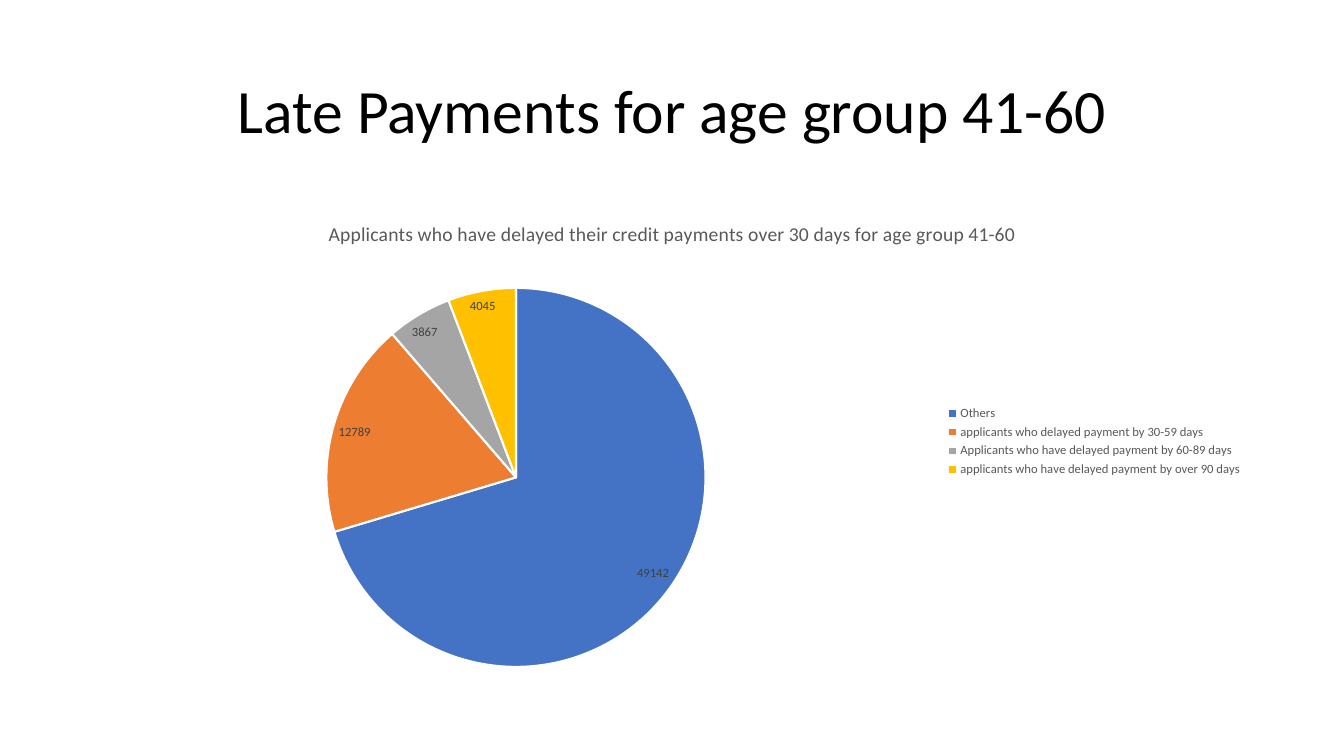
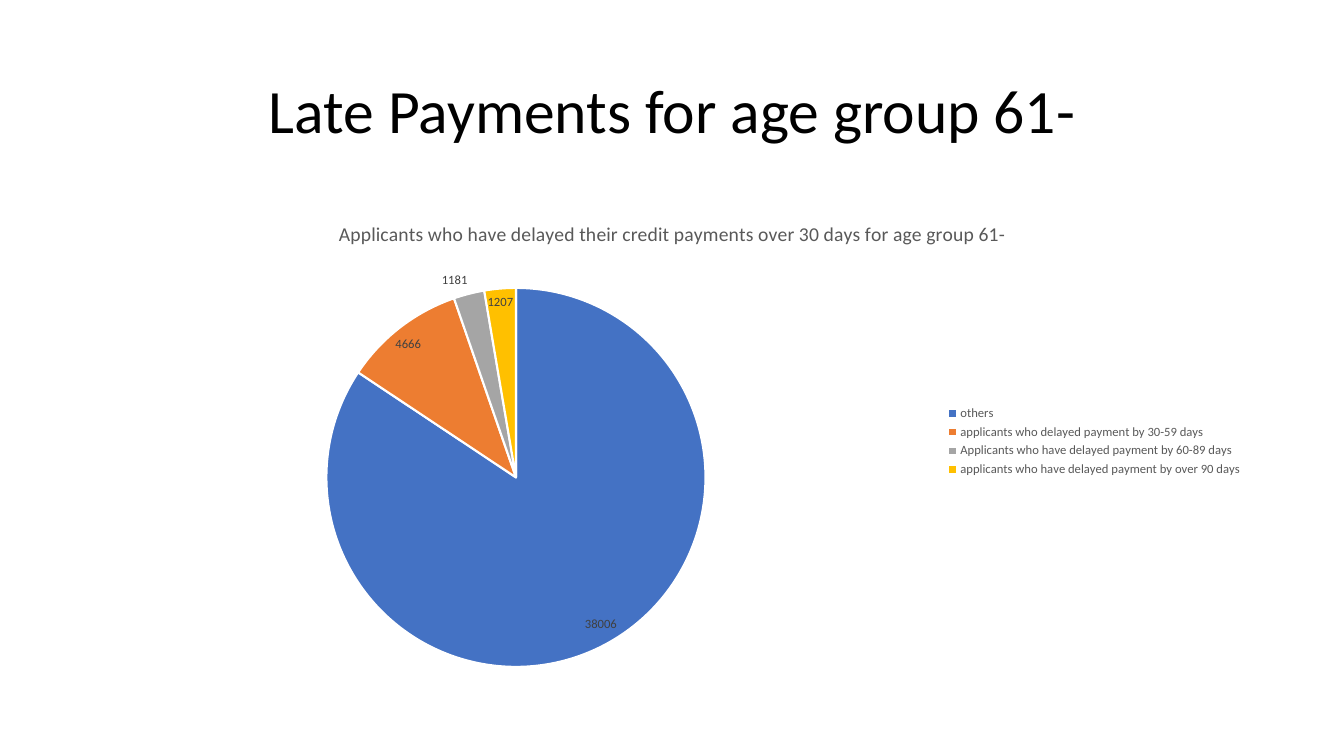
from dataclasses import dataclass

import pptx
import pptx.chart.chart
import pptx.chart.data
import pptx.dml.color
import pptx.enum.chart
import pptx.enum.text
import pptx.presentation
import pptx.slide
import pptx.text.text
import pptx.util
from lxml import etree
from pptx.util import Inches

FONT = "Calibri"
COLOURS = {
    "title": "000000",
    "muted": "595959",
    "label": "404040",
    "border": "FFFFFF",
}
SLICE_COLOURS = {
    "others": "4472C4",
    "30-59 days": "ED7D31",
    "60-89 days": "A5A5A5",
    "over 90 days": "FFC000",
}
DELAY_CATEGORIES = (
    "applicants who delayed payment by 30-59 days",
    "Applicants who have delayed payment by 60-89 days",
    "applicants who have delayed payment by over 90 days",
)
LEFT, WIDTH = Inches(0.92), Inches(11.5)
# Plot area as fractions of the chart frame
PLOT_LAYOUT = {"x": 0.2, "y": 0.18, "w": 0.33, "h": 0.79}


@dataclass(frozen=True)
class AgeGroup:
    ages: str
    others_name: str
    counts: tuple[int, ...]


AGE_GROUPS = (
    AgeGroup("41-60", "Others", (49142, 12789, 3867, 4045)),
    AgeGroup("61-", "others", (38006, 4666, 1181, 1207)),
)


def rgb(colour: str) -> pptx.dml.color.RGBColor:
    return pptx.dml.color.RGBColor.from_string(colour)


def set_font(font: pptx.text.text.Font, size: int, colour: str) -> None:
    font.name = FONT
    font.size = pptx.util.Pt(size)
    font.bold = False
    font.color.rgb = rgb(colour)


def add_title(slide: pptx.slide.Slide, text: str) -> None:
    shape = slide.shapes.add_textbox(LEFT, Inches(0.4), WIDTH, Inches(1.45))
    frame = shape.text_frame
    frame.word_wrap = True
    frame.vertical_anchor = pptx.enum.text.MSO_ANCHOR.MIDDLE
    paragraph = frame.paragraphs[0]
    paragraph.text = text
    paragraph.alignment = pptx.enum.text.PP_ALIGN.CENTER
    paragraph.line_spacing = 0.9
    set_font(paragraph.font, 44, COLOURS["title"])


def place_plot(chart: pptx.chart.chart.Chart) -> None:
    """Fix the inner plot area, which python-pptx cannot position."""
    plot_area = chart.plots[0]._element.getparent()
    namespace = etree.QName(plot_area).namespace
    for layout in plot_area.findall(f"{{{namespace}}}layout"):
        plot_area.remove(layout)
    layout = etree.Element(f"{{{namespace}}}layout")
    manual = etree.SubElement(layout, f"{{{namespace}}}manualLayout")
    settings = {"layoutTarget": "inner", "xMode": "edge", "yMode": "edge", **PLOT_LAYOUT}
    for name, value in settings.items():
        etree.SubElement(manual, f"{{{namespace}}}{name}", val=str(value))
    plot_area.insert(0, layout)


def add_pie(slide: pptx.slide.Slide, group: AgeGroup) -> None:
    data = pptx.chart.data.CategoryChartData()
    data.categories = (group.others_name, *DELAY_CATEGORIES)
    data.add_series("Series 1", group.counts)
    chart = slide.shapes.add_chart(
        pptx.enum.chart.XL_CHART_TYPE.PIE, LEFT, Inches(2), WIDTH, Inches(4.76), data
    ).chart
    set_font(chart.font, 10, COLOURS["title"])

    paragraph = chart.chart_title.text_frame.paragraphs[0]
    paragraph.text = (
        "Applicants who have delayed their credit payments "
        f"over 30 days for age group {group.ages}"
    )
    set_font(paragraph.font, 14, COLOURS["muted"])

    chart.has_legend = True
    chart.legend.position = pptx.enum.chart.XL_LEGEND_POSITION.RIGHT
    chart.legend.include_in_layout = False
    set_font(chart.legend.font, 9, COLOURS["muted"])

    plot = chart.plots[0]
    plot.vary_by_categories = True
    series = plot.series[0]
    for index, colour in enumerate(SLICE_COLOURS.values()):
        slice_format = series.points[index].format
        slice_format.fill.solid()
        slice_format.fill.fore_color.rgb = rgb(colour)
        slice_format.line.color.rgb = rgb(COLOURS["border"])
        slice_format.line.width = pptx.util.Pt(1.5)
    labels = series.data_labels
    labels.show_value = True
    labels.position = pptx.enum.chart.XL_LABEL_POSITION.BEST_FIT
    set_font(labels.font, 9, COLOURS["label"])
    place_plot(chart)


def add_age_slide(presentation: pptx.presentation.Presentation, group: AgeGroup) -> None:
    slide = presentation.slides.add_slide(presentation.slide_layouts[6])
    add_title(slide, f"Late Payments for age group {group.ages}")
    add_pie(slide, group)


def main() -> None:
    presentation = pptx.Presentation()
    presentation.slide_width = Inches(13.33)
    presentation.slide_height = Inches(7.5)
    for group in AGE_GROUPS:
        add_age_slide(presentation, group)
    presentation.save("out.pptx")


if __name__ == "__main__":
    main()
